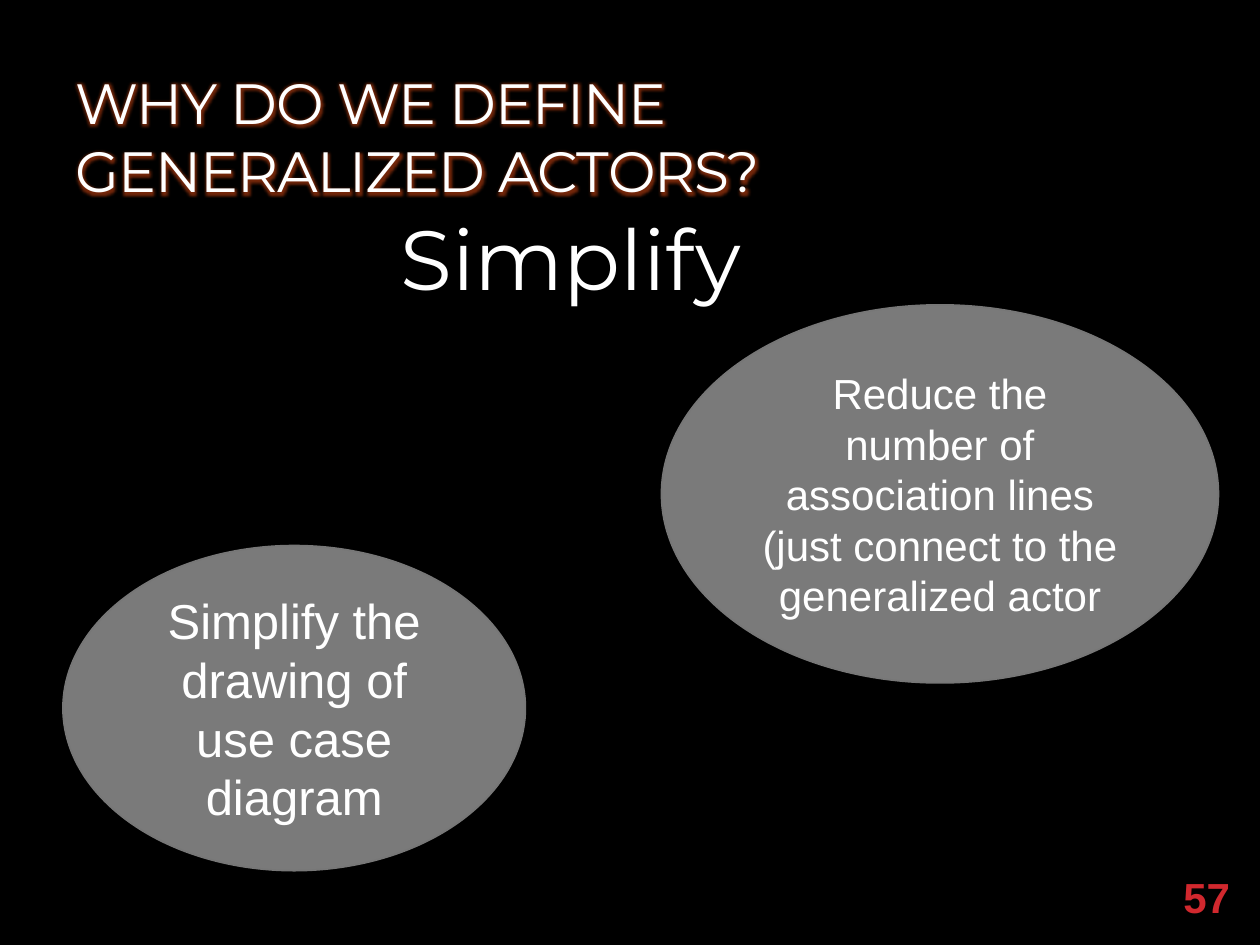
from lxml import etree
from pptx import Presentation, util as u
from pptx.dml.color import RGBColor
from pptx.enum import shapes, text
from pptx.oxml.ns import qn

WHITE = RGBColor(0xFF, 0xFF, 0xFF)
BLACK = RGBColor(0, 0, 0)
RED = RGBColor(0xD1, 0x28, 0x2E)
GREY = RGBColor(0x7A, 0x7A, 0x7A)
EDGE = RGBColor(0x77, 0x77, 0x77)
GLOW = RGBColor(0xC0, 0x40, 0x10)
LEFT, CENTER, RIGHT = text.PP_ALIGN.LEFT, text.PP_ALIGN.CENTER, text.PP_ALIGN.RIGHT
TOP, MIDDLE, BOTTOM = text.MSO_ANCHOR.TOP, text.MSO_ANCHOR.MIDDLE, text.MSO_ANCHOR.BOTTOM

WIDTH, HEIGHT = 10, 7.5
TITLE = "WHY DO WE DEFINE GENERALIZED ACTORS?"
TITLE_BOX = (0.5, 0.17, 6.33, 1.5)
SUBTITLE = "Simplify"
SUBTITLE_BOX = (3.08, 1.59, 3.5, 0.91)
NUMBER = "57"
NUMBER_BOX = (8.42, 6.92, 1.44, 0.4)
REASONS = [
    ("Simplify the drawing of use case diagram", 28, (0.5, 4.33, 3.67, 2.58)),
    ("Reduce the number of association lines (just connect to the generalized actor",
     24, (5.25, 2.42, 4.42, 3)),
]
OVAL_MARGIN = 0.14


def inches(box):
    return [u.Inches(v) for v in box]


def add_shape(s, kind, box, fill, line):
    sp = s.shapes.add_shape(kind, *inches(box))
    sp.shadow.inherit = False
    sp.fill.solid()
    sp.fill.fore_color.rgb = fill
    sp.line.color.rgb = line
    sp.line.width = u.Pt(1)
    return sp


def write(sp, words, size, font, color=WHITE, align=LEFT, anchor=TOP, bold=False):
    tf = sp.text_frame
    tf.word_wrap = True
    tf.vertical_anchor = anchor
    p = tf.paragraphs[0]
    p.alignment = align
    r = p.add_run()
    r.text = words
    for f in (p.font, r.font):
        f.size = u.Pt(size)
        f.name = font
        f.bold = bold
        f.color.rgb = color
    return r


def add_glow(r, color, radius):
    rpr = r.font._element
    rpr.set("spc", "-55")
    effects = etree.Element(qn("a:effectLst"))
    glow = etree.SubElement(effects, qn("a:glow"), rad=str(u.Pt(radius)))
    clr = etree.SubElement(glow, qn("a:srgbClr"), val=str(color))
    etree.SubElement(clr, qn("a:alpha"), val="60000")
    rpr.find(qn("a:solidFill")).addnext(effects)


def main():
    prs = Presentation()
    prs.slide_width, prs.slide_height = inches((WIDTH, HEIGHT))
    s = prs.slides.add_slide(prs.slide_layouts[6])
    add_shape(s, shapes.MSO_SHAPE.RECTANGLE, (0, 0, WIDTH, HEIGHT), BLACK, BLACK)

    title = s.shapes.add_textbox(*inches(TITLE_BOX))
    add_glow(write(title, TITLE, 32.4, "Montserrat", anchor=BOTTOM), GLOW, 6)
    number = s.shapes.add_textbox(*inches(NUMBER_BOX))
    write(number, NUMBER, 24, "Arial", RED, RIGHT, MIDDLE, bold=True)
    subtitle = s.shapes.add_textbox(*inches(SUBTITLE_BOX))
    write(subtitle, SUBTITLE, 48, "Montserrat")

    for words, size, box in REASONS:
        sp = add_shape(s, shapes.MSO_SHAPE.OVAL, box, GREY, EDGE)
        write(sp, words, size, "Arial", align=CENTER, anchor=MIDDLE)
        sp.text_frame.margin_left = sp.text_frame.margin_right = u.Inches(OVAL_MARGIN)
    prs.save("out.pptx")


if __name__ == "__main__":
    main()
